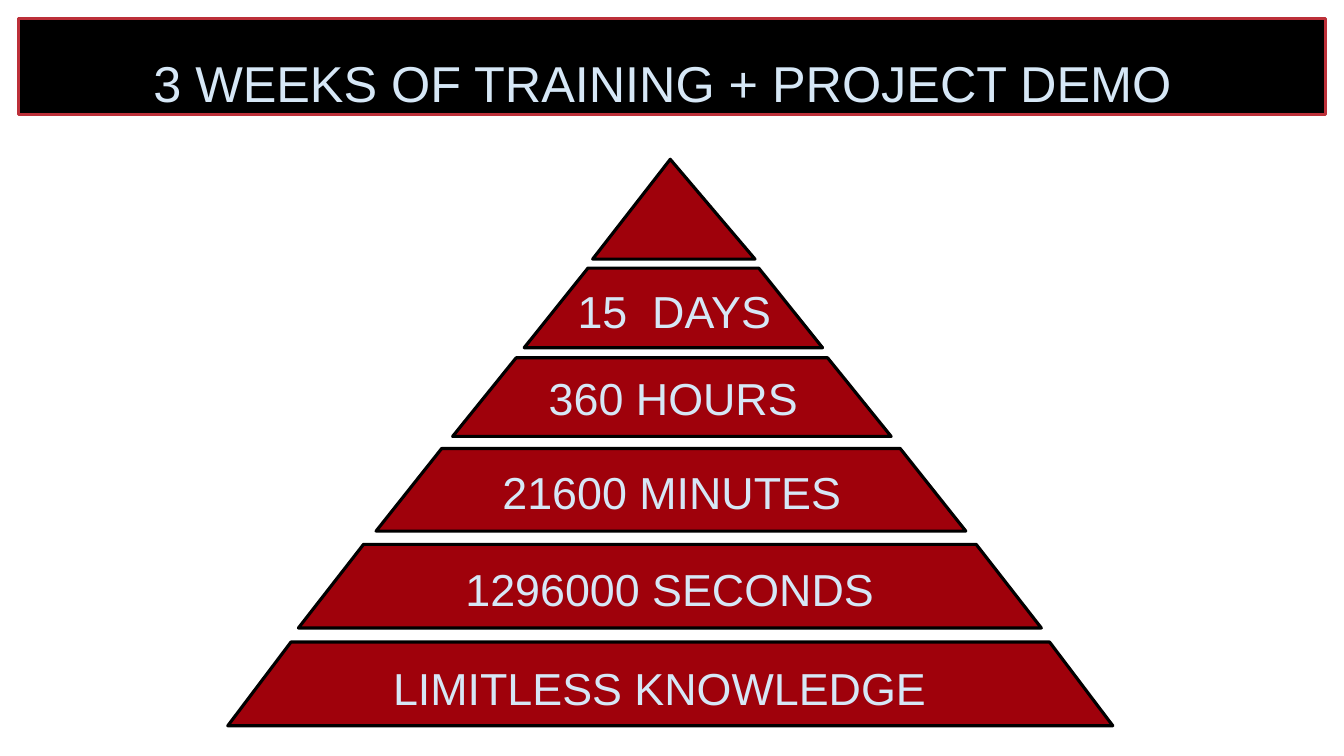
from pptx import Presentation
from pptx import util as u
from pptx.dml.color import RGBColor
from pptx.enum import shapes, text

HUES = {"bar": "000000", "rim": "BC3039", "tier": "9F010B", "edge": "000000", "ink": "D6E7F6"}
TIERS = [
    ((39, 35.47, 22.2, 10.53), 0.801),
    ((33.68, 47.33, 32.63, 10.4), 0.808),
    ((27.98, 59.33, 43.88, 10.93), 0.794),
    ((22.2, 72, 55.28, 11.07), 0.779),
    ((16.95, 84.93, 65.85, 11.07), 0.755),
]
LABELS = [
    ("15  DAYS", (41.1, 36.93, 18.15, 8.53), False),
    ("360 HOURS", (39, 48.4, 22.2, 8.53), False),
    ("21600 MINUTES", (33.68, 60.8, 32.63, 8.53), False),
    ("1296000 SECONDS", (27.9, 72.93, 43.88, 9.2), True),
    ("LIMITLESS KNOWLEDGE", (12.38, 81.33, 73.43, 18.4), True),
]


class Deck:
    font = "Arial"

    def __init__(self):
        self.prs = Presentation()
        self.prs.slide_width = u.Inches(13.33)
        self.prs.slide_height = u.Inches(7.5)
        self.slide = self.prs.slides.add_slide(self.prs.slide_layouts[5])

    def place(self, area):
        wide, high = self.prs.slide_width, self.prs.slide_height
        return [int(part * side / 100) for part, side in zip(area, (wide, high, wide, high))]

    def shape(self, kind, area, fill, line, width, adjust=None):
        shape = self.slide.shapes.add_shape(kind, *self.place(area))
        shape.shadow.inherit = False
        shape.fill.solid()
        shape.fill.fore_color.rgb = RGBColor.from_string(HUES[fill])
        shape.line.color.rgb = RGBColor.from_string(HUES[line])
        shape.line.width = u.Pt(width)
        if adjust is not None:
            shape.adjustments[0] = adjust

    def letter(self, box, words, size, tight):
        frame = box.text_frame
        frame.word_wrap = True
        frame.auto_size = text.MSO_AUTO_SIZE.NONE
        frame.vertical_anchor = text.MSO_ANCHOR.MIDDLE if tight else text.MSO_ANCHOR.TOP
        frame.text = words
        para = frame.paragraphs[0]
        para.alignment = text.PP_ALIGN.CENTER
        if tight:
            frame.margin_left = frame.margin_right = 0
            frame.margin_top = frame.margin_bottom = 0
            para.line_spacing = 1.1
        para.font.name = self.font
        para.font.size = u.Pt(size)
        para.font.color.rgb = RGBColor.from_string(HUES["ink"])

    def title(self, words, area):
        title = self.slide.shapes.title
        title.left, title.top, title.width, title.height = self.place(area)
        self.letter(title, words, 36, True)
        self.slide.shapes._spTree.append(title._element)

    def label(self, words, area, tight):
        self.letter(self.slide.shapes.add_textbox(*self.place(area)), words, 32, tight)


def main():
    deck = Deck()
    kinds = shapes.MSO_SHAPE
    deck.shape(kinds.RECTANGLE, (1.35, 2.4, 97.3, 12.8), "bar", "rim", 2)
    deck.title("3 WEEKS OF TRAINING + PROJECT DEMO", (7.13, 5.87, 84.38, 9.2))
    deck.shape(kinds.ISOSCELES_TRIANGLE, (44.1, 21.07, 12.08, 13.2), "tier", "edge", 2.25, 0.478)
    for area, slant in TIERS:
        deck.shape(kinds.TRAPEZOID, area, "tier", "edge", 2.25, slant)
    for words, area, tight in LABELS:
        deck.label(words, area, tight)
    deck.prs.save("out.pptx")


if __name__ == "__main__":
    main()
